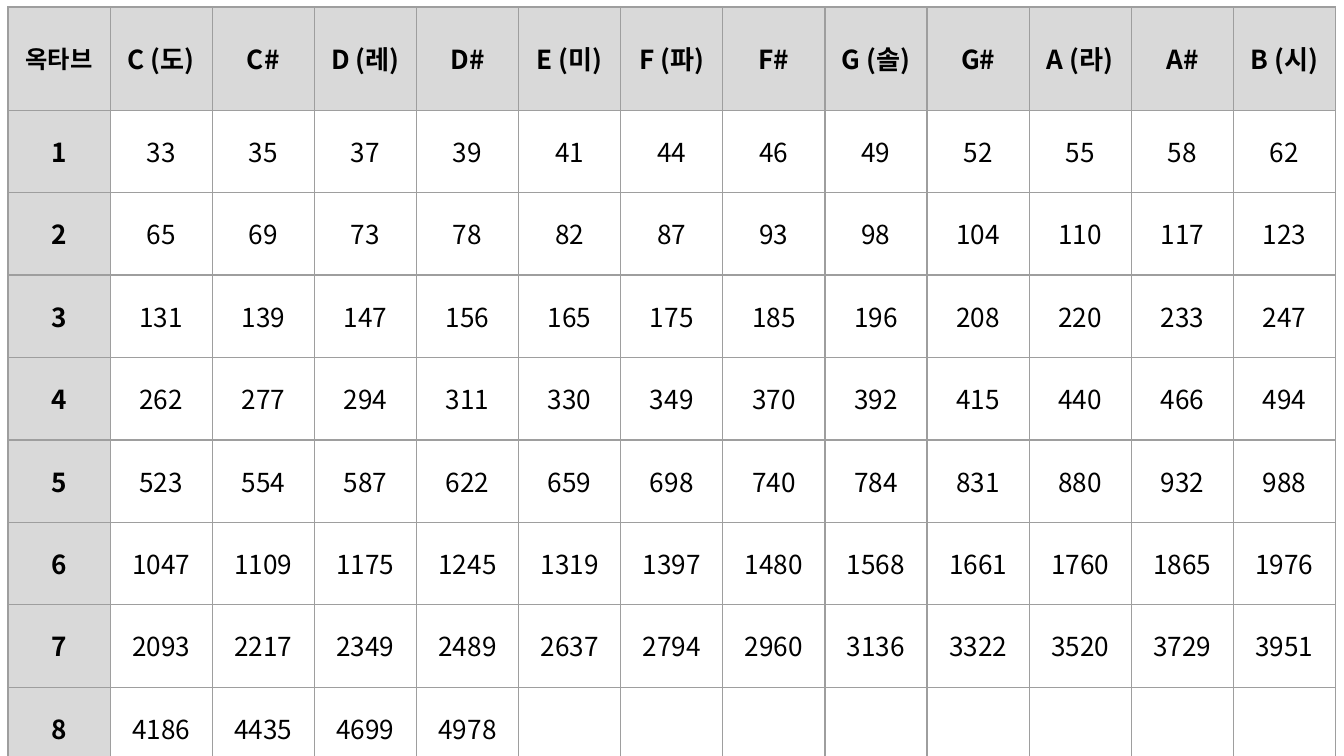
import dataclasses

import pptx
import pptx.dml.color
import pptx.enum.text
import pptx.oxml
import pptx.oxml.ns
import pptx.util

SCALE = 914400 / 134.4
FONT = "Noto Sans CJK KR"
GREY = "D9D9D9"
EDGE = "9E9E9E"
INK = "000000"
LEFT, TOP, WIDTH, HEIGHT = 8, 7, 1328, 742

HEAD = ["옥타브", "C (도)", "C#", "D (레)", "D#", "E (미)", "F (파)",
        "F#", "G (솔)", "G#", "A (라)", "A#", "B (시)"]
TONES = [
    [33, 35, 37, 39, 41, 44, 46, 49, 52, 55, 58, 62],
    [65, 69, 73, 78, 82, 87, 93, 98, 104, 110, 117, 123],
    [131, 139, 147, 156, 165, 175, 185, 196, 208, 220, 233, 247],
    [262, 277, 294, 311, 330, 349, 370, 392, 415, 440, 466, 494],
    [523, 554, 587, 622, 659, 698, 740, 784, 831, 880, 932, 988],
    [1047, 1109, 1175, 1245, 1319, 1397, 1480, 1568, 1661, 1760, 1865, 1976],
    [2093, 2217, 2349, 2489, 2637, 2794, 2960, 3136, 3322, 3520, 3729, 3951],
    [4186, 4435, 4699, 4978],
]


@dataclasses.dataclass
class Entry:
    text: str
    size: int = 14
    label: bool = False


def px(count: float) -> pptx.util.Emu:
    return pptx.util.Emu(round(count * SCALE))


def color(code: str) -> pptx.dml.color.RGBColor:
    return pptx.dml.color.RGBColor.from_string(code)


def apply(target: object, values: dict) -> None:
    for name, value in values.items():
        setattr(target, name, value)


def border(cell) -> None:
    props = cell._tc.get_or_add_tcPr()
    for side in "LRTB":
        props.append(pptx.oxml.parse_xml(
            f'<a:ln{side} {pptx.oxml.ns.nsdecls("a")} w="{pptx.util.Pt(0.75)}">'
            f'<a:solidFill><a:srgbClr val="{EDGE}"/></a:solidFill></a:ln{side}>'))


def write(cell, entry: Entry) -> None:
    para = cell.text_frame.paragraphs[0]
    para.alignment = pptx.enum.text.PP_ALIGN.CENTER
    run = para.add_run()
    run.text = entry.text
    apply(run.font, {"name": FONT, "size": pptx.util.Pt(entry.size),
                     "bold": entry.label})
    run.font.color.rgb = color(INK)
    run._r.get_or_add_rPr().append(pptx.oxml.parse_xml(
        f'<a:ea {pptx.oxml.ns.nsdecls("a")} typeface="{FONT}"/>'))


def draw(cell, entry: Entry) -> None:
    apply(cell, {"margin_left": px(13), "margin_right": px(13),
                 "margin_top": px(13), "margin_bottom": px(14),
                 "vertical_anchor": pptx.enum.text.MSO_ANCHOR.MIDDLE})
    border(cell)
    if entry.label:
        cell.fill.solid()
        cell.fill.fore_color.rgb = color(GREY)
    else:
        cell.fill.background()
    if entry.text:
        write(cell, entry)


def entries() -> list[list[Entry]]:
    rows = [[Entry(text, 14 if col else 13, True) for col, text in enumerate(HEAD)]]
    for octave, tones in enumerate(TONES, 1):
        row = [Entry(str(octave), label=True)] + [Entry(str(tone)) for tone in tones]
        rows.append(row + [Entry("")] * (len(HEAD) - len(row)))
    return rows


def main() -> None:
    deck = pptx.Presentation()
    apply(deck, {"slide_width": px(1344), "slide_height": px(756)})
    slide = deck.slides.add_slide(deck.slide_layouts[6])
    rows = entries()
    table = slide.shapes.add_table(len(rows), len(HEAD), px(LEFT), px(TOP),
                                   px(WIDTH), px(HEIGHT)).table
    apply(table, {"first_row": False, "horz_banding": False})
    for col in table.columns:
        col.width = px(WIDTH / len(HEAD))
    for row, line in zip(table.rows, rows):
        row.height = px(HEIGHT / len(rows))
        for cell, entry in zip(row.cells, line):
            draw(cell, entry)
    deck.save("out.pptx")


if __name__ == "__main__":
    main()
